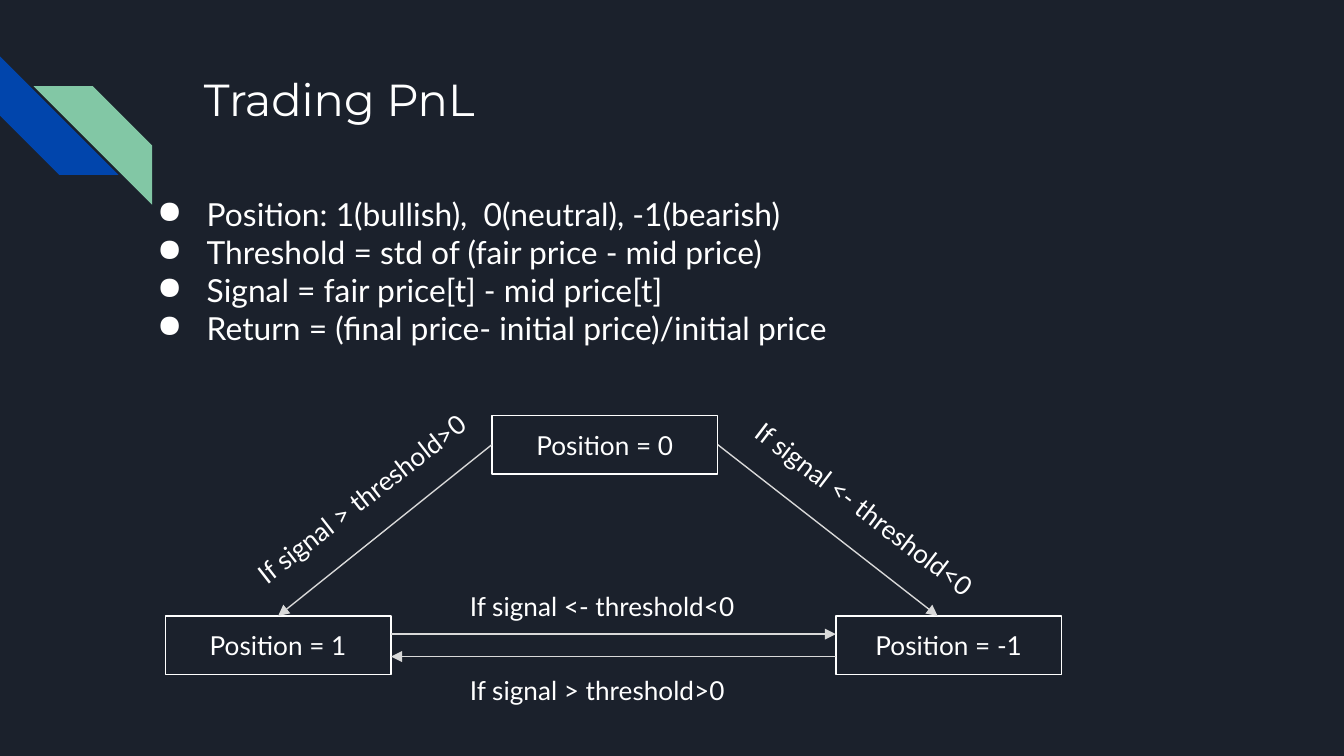
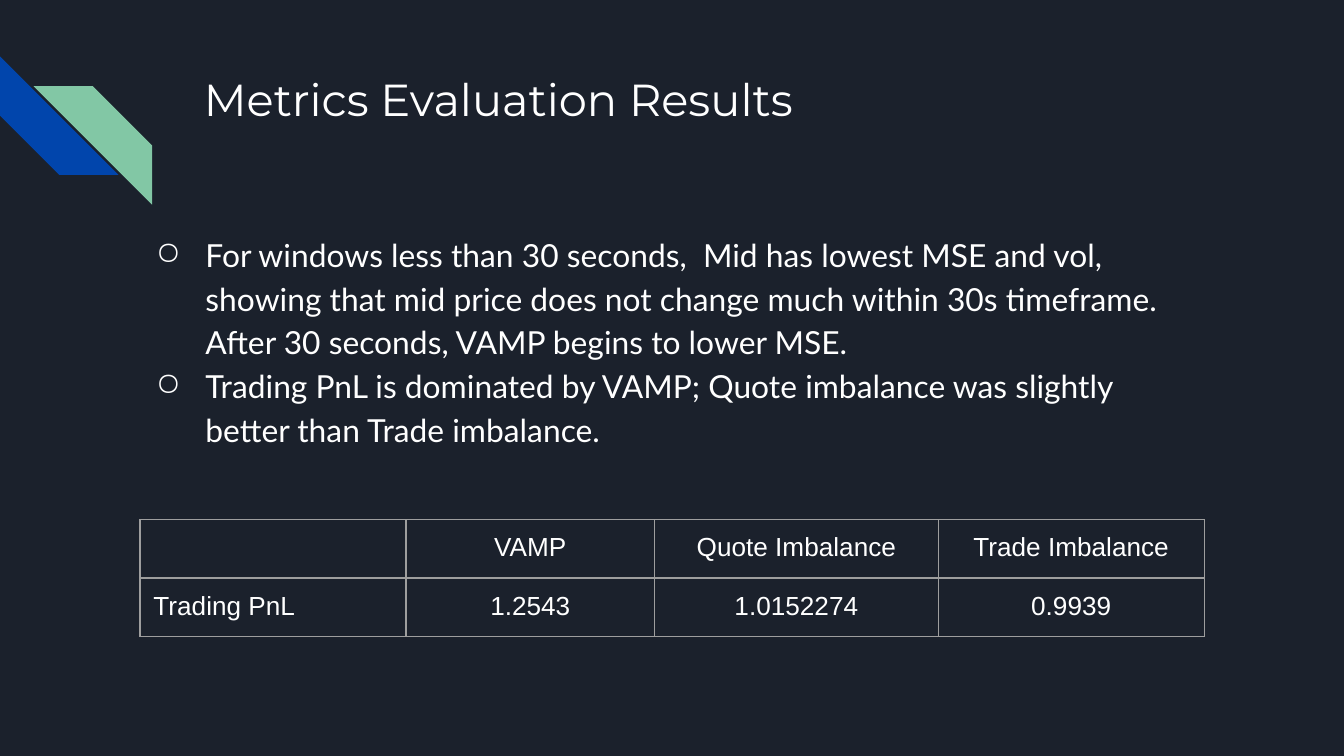
import lxml.etree
import pptx
import pptx.dml.color
import pptx.enum.shapes
import pptx.enum.text
import pptx.oxml.ns
import pptx.util

Pt = pptx.util.Pt
qn = pptx.oxml.ns.qn
ALIGN = pptx.enum.text.PP_ALIGN
ANCHOR = pptx.enum.text.MSO_ANCHOR
SHAPE = pptx.enum.shapes.MSO_SHAPE

COLOURS = {
    "background": "1B212C",
    "text": "FFFFFF",
    "blue": "0145AC",
    "green": "82C7A5",
    "arrow": "D9D9D9",
    "grid": "9E9E9E",
}
INSET = 7.2
THIN = 0.75


def colour(name):
    """Return the named palette colour."""
    return pptx.dml.color.RGBColor.from_string(COLOURS[name])


def add_xml(parent, tag, **attributes):
    """Append a DrawingML element and return it."""
    return lxml.etree.SubElement(parent, qn(tag), attributes)


def style_runs(paragraph, font, size, align=ALIGN.LEFT):
    """Format every run of a paragraph."""
    paragraph.alignment = align
    for run in paragraph.runs:
        run.font.name = font
        run.font.size = Pt(size)
        run.font.color.rgb = colour("text")


def prepare_frame(frame, anchor=ANCHOR.TOP):
    """Give a text frame its wrapping, insets and anchor."""
    frame.word_wrap = True
    frame.vertical_anchor = anchor
    frame.margin_left = frame.margin_right = Pt(INSET)
    frame.margin_top = frame.margin_bottom = Pt(INSET)


def add_label(slide, box, text, font="Lato", size=14, angle=0):
    """Add a text box that may be turned by an angle."""
    label = slide.shapes.add_textbox(*map(Pt, box))
    label.rotation = angle
    prepare_frame(label.text_frame)
    label.text_frame.text = text
    style_runs(label.text_frame.paragraphs[0], font, size)


def add_stripe(slide, left, top, angle, fill):
    """Add one diagonal corner stripe."""
    stripe = slide.shapes.add_shape(SHAPE.DIAGONAL_STRIPE, Pt(left), Pt(top), Pt(63.5), Pt(63.5))
    stripe.rotation = angle
    stripe.shadow.inherit = False
    stripe.fill.solid()
    stripe.fill.fore_color.rgb = colour(fill)
    stripe.line.fill.background()


def add_titled_slide(deck, title):
    """Add a slide with the shared background, stripes and title."""
    slide = deck.slides.add_slide(deck.slide_layouts[6])
    slide.background.fill.solid()
    slide.background.fill.fore_color.rgb = colour("background")
    add_stripe(slide, 0, 30.2, 270, "blue")
    add_stripe(slide, 18, 46.2, 90, "green")
    add_label(slide, (102.2, 31, 554.4, 72), title, "Montserrat", 24)
    return slide


def add_bullets(slide, box, lines, mark, level=0, spacing=1.0):
    """Add a bulleted list at one outline level."""
    frame = slide.shapes.add_textbox(*map(Pt, box)).text_frame
    prepare_frame(frame)
    frame.text = "\n".join(lines)
    for paragraph in frame.paragraphs:
        paragraph.level = level
        paragraph.line_spacing = spacing
        style_runs(paragraph, "Lato", 17)
        properties = paragraph._p.get_or_add_pPr()
        properties.set("marL", str(Pt(36 * (level + 1))))
        properties.set("indent", str(-Pt(26.6)))
        bullet_colour = add_xml(properties, "a:buClr")
        add_xml(bullet_colour, "a:srgbClr", val=COLOURS["text"])
        add_xml(properties, "a:buChar", char=mark)


def add_state(slide, box, text):
    """Add one outlined position state."""
    state = slide.shapes.add_shape(SHAPE.RECTANGLE, *map(Pt, box))
    state.shadow.inherit = False
    state.fill.background()
    state.line.color.rgb = colour("text")
    state.line.width = Pt(THIN)
    prepare_frame(state.text_frame, ANCHOR.MIDDLE)
    state.text_frame.text = text
    style_runs(state.text_frame.paragraphs[0], "Lato", 14, ALIGN.CENTER)


def add_arrow(slide, start, end):
    """Add a straight arrow between two points."""
    arrow = slide.shapes.add_connector(
        pptx.enum.shapes.MSO_CONNECTOR.STRAIGHT, *map(Pt, start + end))
    arrow.line.color.rgb = colour("arrow")
    arrow.line.width = Pt(THIN)
    add_xml(arrow.line._get_or_add_ln(), "a:tailEnd", type="triangle")
    add_xml(arrow._element.spPr, "a:effectLst")


def add_state_diagram(slide, box):
    """Draw the three position states and their transitions."""
    left, top, width, height = box
    state_width, state_height = 121, 31.5
    right = left + width - state_width
    low = top + height - state_height
    neutral = left + 175
    add_state(slide, (neutral, top, state_width, state_height), "Position = 0")
    add_state(slide, (left, low, state_width, state_height), "Position = 1")
    add_state(slide, (right, low, state_width, state_height), "Position = -1")

    neutral_middle = top + state_height / 2
    low_middle = low + state_height / 2
    inner_left = left + state_width
    add_arrow(slide, (neutral, neutral_middle), (left + state_width / 2, low))
    add_arrow(slide, (neutral + state_width, neutral_middle), (right + 54.5, low))
    add_arrow(slide, (inner_left, low_middle - 6), (right, low_middle - 6))
    add_arrow(slide, (right, low_middle + 6), (inner_left, low_middle + 6))

    rise, fall = "If signal > threshold>0", "If signal <- threshold<0"
    conditions = [
        (28, 23.7, rise, 322.1),
        (156.2, 131.7, rise, 0),
        (156.2, 86.4, fall, 0),
        (295.2, 38.1, fall, 37.5),
    ]
    for across, down, text, angle in conditions:
        add_label(slide, (left + across, top + down, 167.8, state_height), text, angle=angle)


def add_cell_borders(cell):
    """Outline a cell on all four sides and leave it unfilled."""
    properties = cell._tc.get_or_add_tcPr()
    for side in ("a:lnL", "a:lnR", "a:lnT", "a:lnB"):
        border = add_xml(properties, side, w=str(Pt(THIN)))
        add_xml(add_xml(border, "a:solidFill"), "a:srgbClr", val=COLOURS["grid"])
    cell.fill.background()


def add_results_table(slide, box, rows, shares):
    """Add the results table, sharing the box width between its columns."""
    left, top, width, height = box
    table = slide.shapes.add_table(len(rows), len(shares), *map(Pt, box)).table
    table.first_row = table.horz_banding = False
    for column, share in zip(table.columns, shares):
        column.width = Pt(width * share / sum(shares))
    for row_index, values in enumerate(rows):
        table.rows[row_index].height = Pt(height / len(rows))
        for column_index, value in enumerate(values):
            cell = table.cell(row_index, column_index)
            cell.margin_left = cell.margin_right = Pt(INSET)
            cell.margin_top = cell.margin_bottom = Pt(INSET)
            cell.text_frame.text = value
            paragraph = cell.text_frame.paragraphs[0]
            style_runs(paragraph, "Arial", 14, ALIGN.CENTER if column_index else ALIGN.LEFT)
            if not value:
                add_xml(paragraph._p, "a:endParaRPr", sz="1400")
            add_cell_borders(cell)


def build_trading_slide(deck):
    """Build the slide on trading rules."""
    slide = add_titled_slide(deck, "Trading PnL")
    add_bullets(slide, (67.7, 97.2, 494.6, 97.2), [
        "Position: 1(bullish),  0(neutral), -1(bearish)",
        "Threshold = std of (fair price - mid price)",
        "Signal = fair price[t] - mid price[t]",
        "Return = (final price- initial price)/initial price",
    ], "●")
    add_state_diagram(slide, (88.5, 222.5, 480.3, 139))


def build_metrics_slide(deck):
    """Build the slide on metric results."""
    slide = add_titled_slide(deck, "Metrics Evaluation Results")
    add_bullets(slide, (31, 116, 602.6, 149.8), [
        "For windows less than 30 seconds,  Mid has lowest MSE and vol, showing that "
        "mid price does not change much within 30s timeframe. After 30 seconds, "
        "VAMP begins to lower MSE.",
        "Trading PnL is dominated by VAMP; Quote imbalance was slightly better than "
        "Trade imbalance.",
    ], "○", level=1, spacing=1.15)
    add_results_table(slide, (75, 278.4, 570.2, 62), [
        ("", "VAMP", "Quote Imbalance", "Trade Imbalance"),
        ("Trading PnL", "1.2543", "1.0152274", "0.9939"),
    ], (1.98, 1.85, 2.11, 1.98))


def main():
    """Build and save the deck."""
    deck = pptx.Presentation()
    deck.slide_width, deck.slide_height = Pt(720), Pt(405)
    build_trading_slide(deck)
    build_metrics_slide(deck)
    deck.save("out.pptx")


if __name__ == "__main__":
    main()
